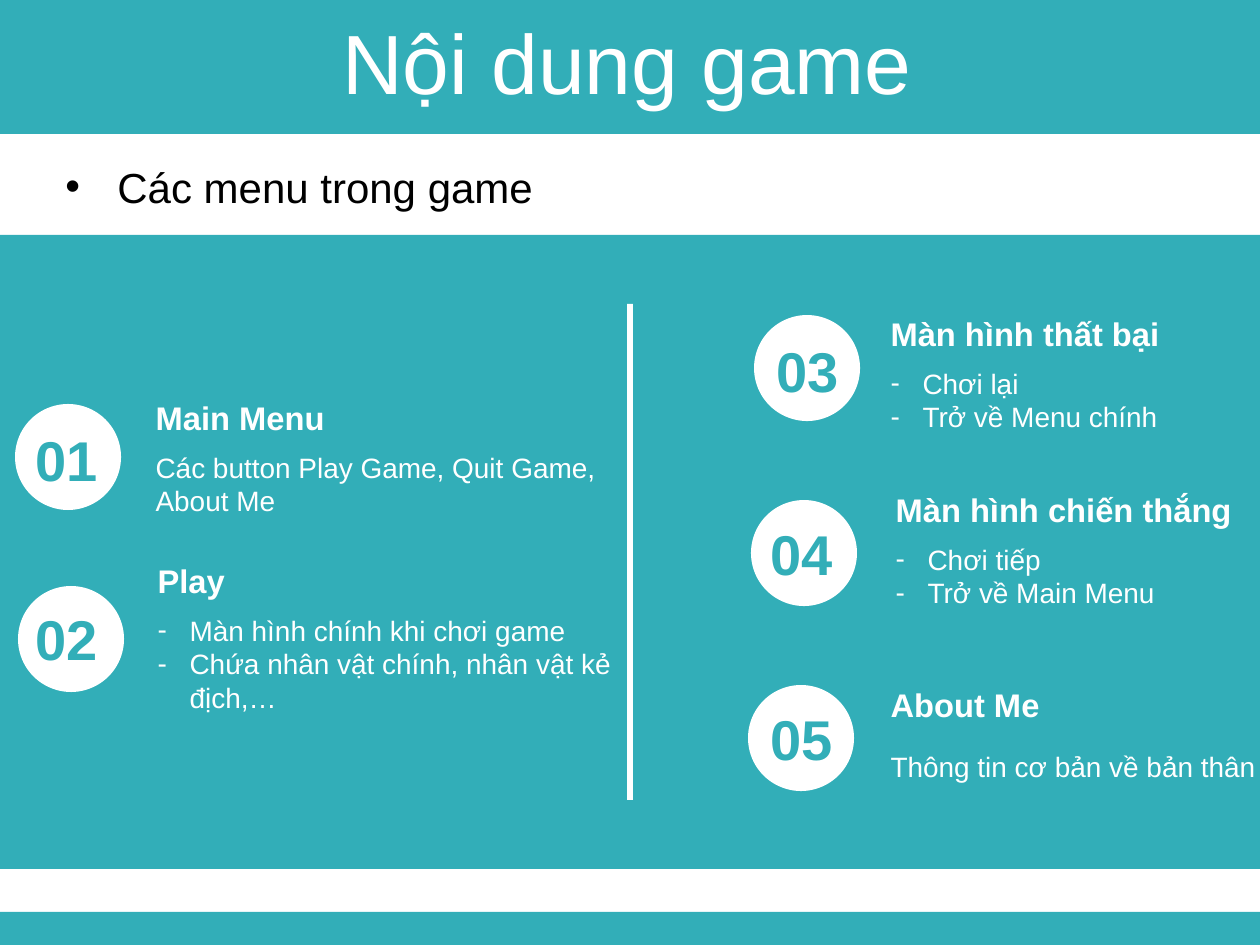
from lxml.etree import SubElement
from pptx import Presentation
from pptx.dml.color import RGBColor
from pptx.enum.shapes import MSO_SHAPE as Shape
from pptx.enum.text import MSO_ANCHOR as Anchor, PP_ALIGN as Align
from pptx.oxml.ns import qn
from pptx.util import Pt

PX = 914400 / 168
TEAL = RGBColor(0x32, 0xAE, 0xB8)
WHITE = RGBColor(0xFF, 0xFF, 0xFF)
BLACK = RGBColor(0x00, 0x00, 0x00)

presentation = Presentation()
presentation.slide_width = round(1260 * PX)
presentation.slide_height = round(945 * PX)
slide = presentation.slides.add_slide(presentation.slide_layouts[6])


def add_block(kind, box, color):
    shape = slide.shapes.add_shape(kind, *[round(length * PX) for length in box])
    shape.shadow.inherit = False
    shape.fill.solid()
    shape.fill.fore_color.rgb = color
    shape.line.fill.background()


def add_text(box, lines, size, color=WHITE, bold=False, align=Align.LEFT,
             anchor=Anchor.TOP, bullet=None, indent=0):
    shape = slide.shapes.add_textbox(*[round(length * PX) for length in box])
    frame = shape.text_frame
    frame.word_wrap = True
    frame.vertical_anchor = anchor
    frame.text = "\n".join(lines)
    for paragraph in frame.paragraphs:
        paragraph.alignment = align
        for name, value in {"name": "Arial", "size": Pt(size), "bold": bold}.items():
            setattr(paragraph.runs[0].font, name, value)
        paragraph.runs[0].font.color.rgb = color
        if bullet:
            properties = paragraph._p.get_or_add_pPr()
            properties.set("marL", str(round(indent * PX)))
            properties.set("indent", str(round(-indent * PX)))
            SubElement(properties, qn("a:buFont")).set("typeface", "Arial")
            SubElement(properties, qn("a:buChar")).set("char", bullet)


for top, height in [(0, 134), (235, 634), (912, 33)]:
    add_block(Shape.RECTANGLE, (0, top, 1260, height), TEAL)
add_block(Shape.RECTANGLE, (627, 304, 6, 496), WHITE)

add_text((-213, 8, 1680, 106), ["Nội dung game"], 36,
         align=Align.CENTER, anchor=Anchor.MIDDLE)
add_text((49, 153, 502, 67), ["Các menu trong game"], 18, BLACK,
         bullet="•", indent=52)

menus = [
    ((15, 404), (8, 417), (139, 390), 52, "Main Menu",
     ["Các button Play Game, Quit Game, About Me"], None),
    ((18, 586), (8, 596), (141, 553), 52, "Play",
     ["Màn hình chính khi chơi game", "Chứa nhân vật chính, nhân vật kẻ địch,…"], "-"),
    ((754, 315), (749, 328), (874, 306), 52, "Màn hình thất bại",
     ["Chơi lại", "Trở về Menu chính"], "-"),
    ((751, 500), (743, 511), (879, 482), 52, "Màn hình chiến thắng",
     ["Chơi tiếp", "Trở về Main Menu"], "-"),
    ((748, 685), (743, 696), (874, 677), 64, "About Me",
     ["Thông tin cơ bản về bản thân"], None),
]
for number, (circle, label, (left, top), drop, heading, lines, bullet) in enumerate(menus, 1):
    add_block(Shape.OVAL, (*circle, 106, 106), WHITE)
    add_text((*label, 118, 84), [f"{number:02}"], 24, TEAL, bold=True, align=Align.CENTER)
    add_text((left, top, 489, 57), [heading], 14, bold=True)
    add_text((left, top + drop, 489, 84), lines, 12, bullet=bullet, indent=32)

presentation.save("out.pptx")
